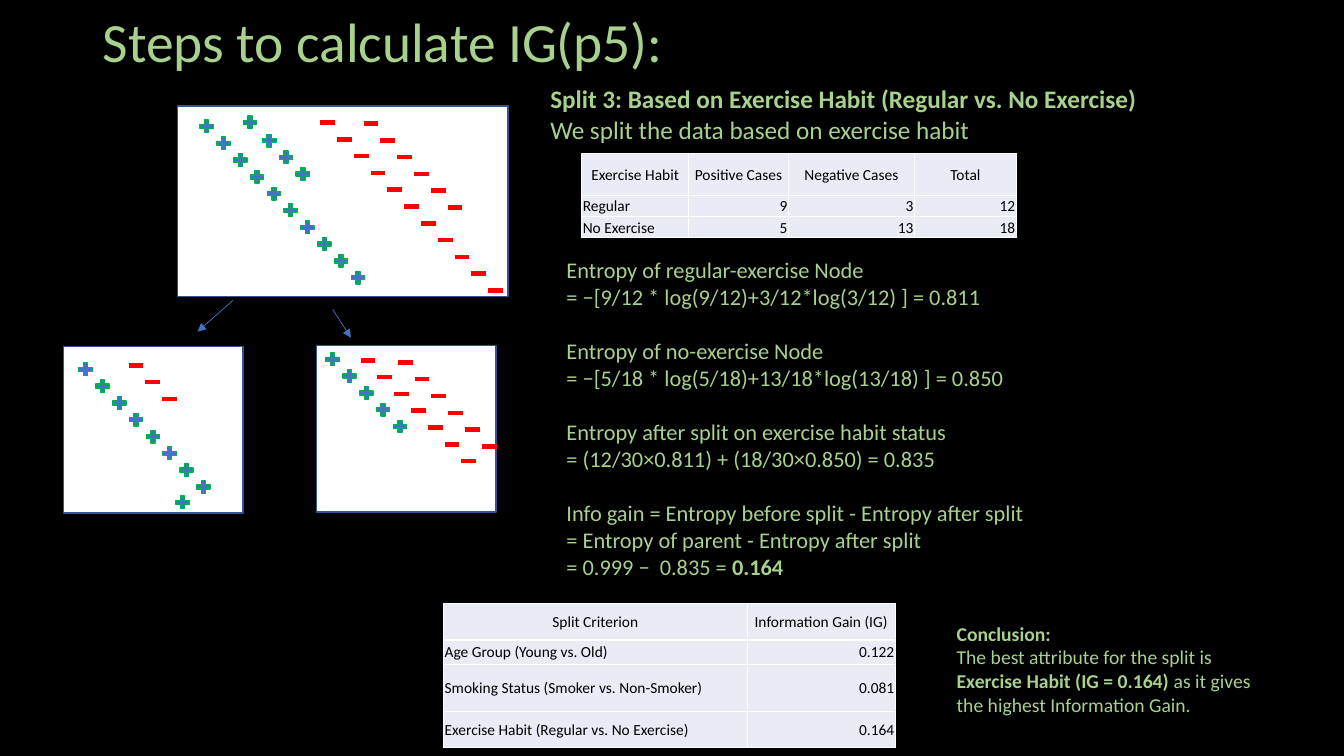
"""Build the slide on information gain for the exercise habit split."""
from dataclasses import dataclass

from lxml.etree import SubElement
from pptx import Presentation
from pptx.dml.color import RGBColor
from pptx.enum.shapes import MSO_CONNECTOR, MSO_SHAPE
from pptx.enum.text import MSO_ANCHOR, PP_ALIGN
from pptx.oxml.ns import qn
from pptx.slide import Slide
from pptx.text.text import _Paragraph
from pptx.util import Inches, Pt


@dataclass(frozen=True)
class Theme:
    font: str = "Calibri"
    back: str = "000000"
    text: str = "A9D18E"
    panel: str = "FFFFFF"
    frame: str = "325491"
    plus: str = "4472C4"
    edge: str = "00B050"
    minus: str = "FF0000"
    cell: str = "E9EBF5"
    ink: str = "000000"
    title: float = 39.6
    head: float = 18
    body: float = 16
    note: float = 14
    grid: float = 11


@dataclass(frozen=True)
class Box:
    left: float
    top: float
    width: float
    height: float

    def emu(self) -> tuple:
        return tuple(map(Inches, (self.left, self.top, self.width, self.height)))


@dataclass(frozen=True)
class Run:
    text: str
    bold: bool = False


@dataclass(frozen=True)
class Para:
    runs: tuple[Run, ...]
    gap: float = 0


@dataclass(frozen=True)
class Label:
    box: Box
    size: float
    paras: tuple[Para, ...]
    anchor: MSO_ANCHOR = MSO_ANCHOR.TOP
    pitch: float = 1.0


@dataclass(frozen=True)
class Trail:
    left: float
    top: float
    count: int
    plus: bool


@dataclass(frozen=True)
class Arrow:
    start: tuple[float, float]
    end: tuple[float, float]


@dataclass(frozen=True)
class Grid:
    box: Box
    cols: tuple[float, ...]
    rows: tuple[float, ...]
    cells: tuple[tuple[str, ...], ...]


THEME = Theme()
STEP = 1 / 6
BREAK = 19.5


def line(text: str, bold: bool = False, gap: float = 0) -> Para:
    return Para((Run(text, bold),), gap)


LABELS = (
    Label(Box(0.92, 0.15, 5.91, 0.59), THEME.title,
          (line("Steps to calculate IG(p5):"),), MSO_ANCHOR.MIDDLE, 0.9),
    Label(Box(5.36, 0.78, 7.56, 0.71), THEME.head, (
        line("Split 3: Based on Exercise Habit (Regular vs. No Exercise)", True),
        line("We split the data based on exercise habit"))),
    Label(Box(5.52, 2.49, 5.38, 3.33), THEME.body, (
        line("Entropy of regular-exercise Node"),
        line("= −[9/12 * log(9/12)+3/12*log(3/12) ] = 0.811"),
        line("Entropy of no-exercise Node", gap=BREAK),
        line("= −[5/18 * log(5/18)+13/18*log(13/18) ] = 0.850"),
        line("Entropy after split on exercise habit status", gap=BREAK),
        line("= (12/30×0.811) + (18/30×0.850) = 0.835"),
        line("Info gain = Entropy before split - Entropy after split", gap=BREAK),
        line("= Entropy of parent - Entropy after split"),
        Para((Run("= 0.999 −  0.835 = "), Run("0.164", True))))),
    Label(Box(9.39, 6.12, 3.27, 1.04), THEME.note, (
        line("Conclusion:", True),
        Para((Run("The best attribute for the split is "),
              Run("Exercise Habit (IG = 0.164)", True),
              Run(" as it gives the highest Information Gain."))))),
)
PANELS = (Box(1.76, 1.05, 3.28, 1.89), Box(0.63, 3.44, 1.78, 1.65),
          Box(3.14, 3.43, 1.78, 1.65))
TRAILS = (
    Trail(1.96, 1.17, 10, True), Trail(2.39, 1.13, 1, True),
    Trail(2.58, 1.31, 3, True), Trail(3.15, 1.12, 11, False),
    Trail(3.58, 1.13, 6, False),
    Trail(0.76, 3.58, 8, True), Trail(1.72, 4.9, 1, True),
    Trail(1.25, 3.53, 3, False),
    Trail(3.21, 3.48, 5, True), Trail(3.55, 3.48, 7, False),
    Trail(3.92, 3.5, 6, False),
)
ARROWS = (Arrow((2.31, 2.98), (1.96, 3.29)), Arrow((3.3, 3.07), (3.48, 3.35)))
GRIDS = (
    Grid(Box(5.77, 1.52, 4.31, 0.83), (1.06, 0.99, 1.25, 1.01), (0.42, 0.21, 0.21), (
        ("Exercise Habit", "Positive Cases", "Negative Cases", "Total"),
        ("Regular", "9", "3", "12"),
        ("No Exercise", "5", "13", "18"))),
    Grid(Box(4.4, 5.99, 4.49, 1.44), (3.01, 1.47), (0.36, 0.24, 0.47, 0.36), (
        ("Split Criterion", "Information Gain (IG)"),
        ("Age Group (Young vs. Old)", "0.122"),
        ("Smoking Status (Smoker vs. Non-Smoker)", "0.081"),
        ("Exercise Habit (Regular vs. No Exercise)", "0.164"))),
)


def rgb(code: str) -> RGBColor:
    return RGBColor.from_string(code)


def style(para: _Paragraph, size: float, color: str) -> None:
    para.font.name = THEME.font
    para.font.size = Pt(size)
    para.font.color.rgb = rgb(color)


def write(slide: Slide, label: Label) -> None:
    frame = slide.shapes.add_textbox(*label.box.emu()).text_frame
    frame.word_wrap = True
    frame.vertical_anchor = label.anchor
    for i, item in enumerate(label.paras):
        para = frame.add_paragraph() if i else frame.paragraphs[0]
        para.line_spacing = label.pitch
        if item.gap:
            para.space_before = Pt(item.gap)
        style(para, label.size, THEME.text)
        for part in item.runs:
            run = para.add_run()
            run.text = part.text
            if part.bold:
                run.font.bold = True


def place(slide: Slide, kind: MSO_SHAPE, box: Box, fill: str, edge: str = "") -> None:
    shape = slide.shapes.add_shape(kind, *box.emu())
    shape.shadow.inherit = False
    shape.fill.solid()
    shape.fill.fore_color.rgb = rgb(fill)
    if edge:
        shape.line.color.rgb = rgb(edge)
        shape.line.width = Pt(1)
    else:
        shape.line.fill.background()


def scatter(slide: Slide, trail: Trail) -> None:
    for i in range(trail.count):
        left, top = trail.left + i * STEP, trail.top + i * STEP
        if trail.plus:
            place(slide, MSO_SHAPE.MATH_PLUS, Box(left, top, 0.18, 0.17),
                  THEME.plus, THEME.edge)
        else:
            place(slide, MSO_SHAPE.MATH_MINUS, Box(left, top, 0.2, 0.19), THEME.minus)


def point(slide: Slide, arrow: Arrow) -> None:
    ends = map(Inches, arrow.start + arrow.end)
    link = slide.shapes.add_connector(MSO_CONNECTOR.STRAIGHT, *ends)
    link.line.color.rgb = rgb(THEME.plus)
    link.line.width = Pt(0.5)
    SubElement(link.line._get_or_add_ln(), qn("a:tailEnd"), type="triangle")
    SubElement(link._element.spPr, qn("a:effectLst"))


def tabulate(slide: Slide, grid: Grid) -> None:
    table = slide.shapes.add_table(len(grid.rows), len(grid.cols), *grid.box.emu()).table
    table.first_row = table.horz_banding = False
    for col, width in zip(table.columns, grid.cols):
        col.width = Inches(width)
    for r, (row, height) in enumerate(zip(table.rows, grid.rows)):
        row.height = Inches(height)
        for c, (cell, text) in enumerate(zip(row.cells, grid.cells[r])):
            cell.text = text
            cell.margin_left = cell.margin_right = cell.margin_top = Inches(0.01)
            cell.margin_bottom = 0
            cell.vertical_anchor = MSO_ANCHOR.MIDDLE
            for side in ("lnL", "lnR", "lnT", "lnB"):
                edge = SubElement(cell._tc.get_or_add_tcPr(), qn(f"a:{side}"), w=str(Pt(1)))
                SubElement(SubElement(edge, qn("a:solidFill")), qn("a:srgbClr"), val=THEME.panel)
            cell.fill.solid()
            cell.fill.fore_color.rgb = rgb(THEME.cell)
            para = cell.text_frame.paragraphs[0]
            side = PP_ALIGN.RIGHT if c else PP_ALIGN.LEFT
            para.alignment = side if r else PP_ALIGN.CENTER
            style(para, THEME.grid, THEME.ink)


def main() -> None:
    deck = Presentation()
    deck.slide_width, deck.slide_height = Inches(13.33), Inches(7.5)
    slide = deck.slides.add_slide(deck.slide_layouts[6])
    slide.background.fill.solid()
    slide.background.fill.fore_color.rgb = rgb(THEME.back)
    for draw, items in ((write, LABELS), (tabulate, GRIDS), (point, ARROWS), (scatter, TRAILS)):
        if draw is scatter:
            for box in PANELS:
                place(slide, MSO_SHAPE.RECTANGLE, box, THEME.panel, THEME.frame)
        for item in items:
            draw(slide, item)
    deck.save("out.pptx")


if __name__ == "__main__":
    main()
